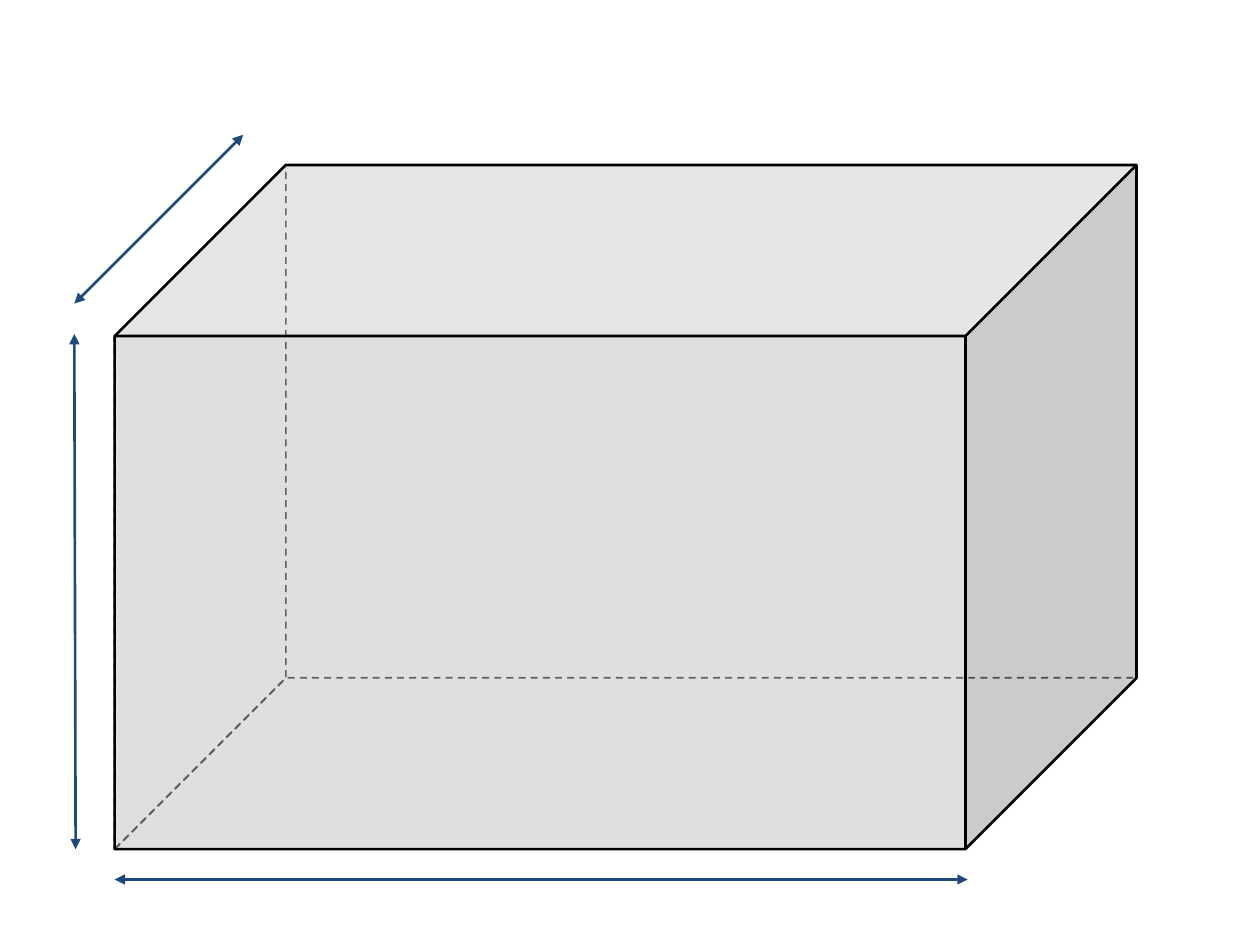
from dataclasses import dataclass

from lxml import etree
from pptx import Presentation
from pptx.dml.color import RGBColor
from pptx.enum.dml import MSO_LINE
from pptx.enum.shapes import MSO_CONNECTOR, MSO_SHAPE
from pptx.oxml.ns import qn
from pptx.util import Inches, Pt

PARALLELOGRAM = MSO_SHAPE.PARALLELOGRAM
CUBE = MSO_SHAPE.CUBE
STRAIGHT = MSO_CONNECTOR.STRAIGHT
DASH = MSO_LINE.DASH


@dataclass(frozen=True)
class Theme:
    edge: str = "000000"
    face: str = "C0C0C0"
    arrow: str = "1F497D"
    face_alpha: int = 50
    thin: float = 1
    thick: float = 1.5


class Board:
    def __init__(self, slide, theme):
        self.shapes = slide.shapes
        self.theme = theme

    def stroke(self, sp, color, **formats):
        sp.line.color.rgb = RGBColor.from_string(color)
        for name, value in formats.items():
            setattr(sp.line, name, value)

    def solid(self, kind, left, top, width, height, adj):
        sp = self.shapes.add_shape(kind, *map(Inches, (left, top, width, height)))
        sp.shadow.inherit = False
        sp.adjustments[0] = adj
        return sp

    def hidden_face(self, left, top, width, height, adj, flips, rotation=0):
        sp = self.solid(PARALLELOGRAM, left, top, width, height, adj)
        sp.rotation = rotation
        for flip in flips:
            sp.element.spPr.find(qn("a:xfrm")).set(flip, "1")
        sp.fill.background()
        self.stroke(sp, self.theme.edge, width=Pt(self.theme.thin), dash_style=DASH)

    def cube(self, left, top, width, height, adj):
        sp = self.solid(CUBE, left, top, width, height, adj)
        sp.fill.solid()
        sp.fill.fore_color.rgb = RGBColor.from_string(self.theme.face)
        color = sp.element.spPr.find(qn("a:solidFill")).find(qn("a:srgbClr"))
        alpha = etree.SubElement(color, qn("a:alpha"))
        alpha.set("val", str(self.theme.face_alpha * 1000))
        self.stroke(sp, self.theme.edge, width=Pt(self.theme.thick))

    def dimension(self, x1, y1, x2, y2):
        sp = self.shapes.add_connector(STRAIGHT, *map(Inches, (x1, y1, x2, y2)))
        self.stroke(sp, self.theme.arrow, width=Pt(self.theme.thick))
        ln = sp.line._get_or_add_ln()
        for end in ("a:headEnd", "a:tailEnd"):
            etree.SubElement(ln, qn(end)).set("type", "triangle")
        etree.SubElement(sp.element.spPr, qn("a:effectLst"))


prs = Presentation()
prs.slide_width, prs.slide_height = Inches(10), Inches(7.5)
board = Board(prs.slides.add_slide(prs.slide_layouts[6]), Theme())

left, top, width, height, depth = 0.91, 1.31, 8.11, 5.43, 1.36
right, bottom = left + width - depth, top + height

board.hidden_face(left + (depth - height) / 2, top + (height - depth) / 2,
                  height, depth, 1, ["flipH"], rotation=90)
board.hidden_face(left, bottom - depth, width, depth, 1, ["flipH", "flipV"])
board.cube(left, top, width, height, 0.25)

for ends in (
    (1.93, 1.07, 0.59, 2.41),
    (right + 0.02, 6.98, left, 6.98),
    (0.6, bottom, 0.59, 2.65),
):
    board.dimension(*ends)

prs.save("out.pptx")
